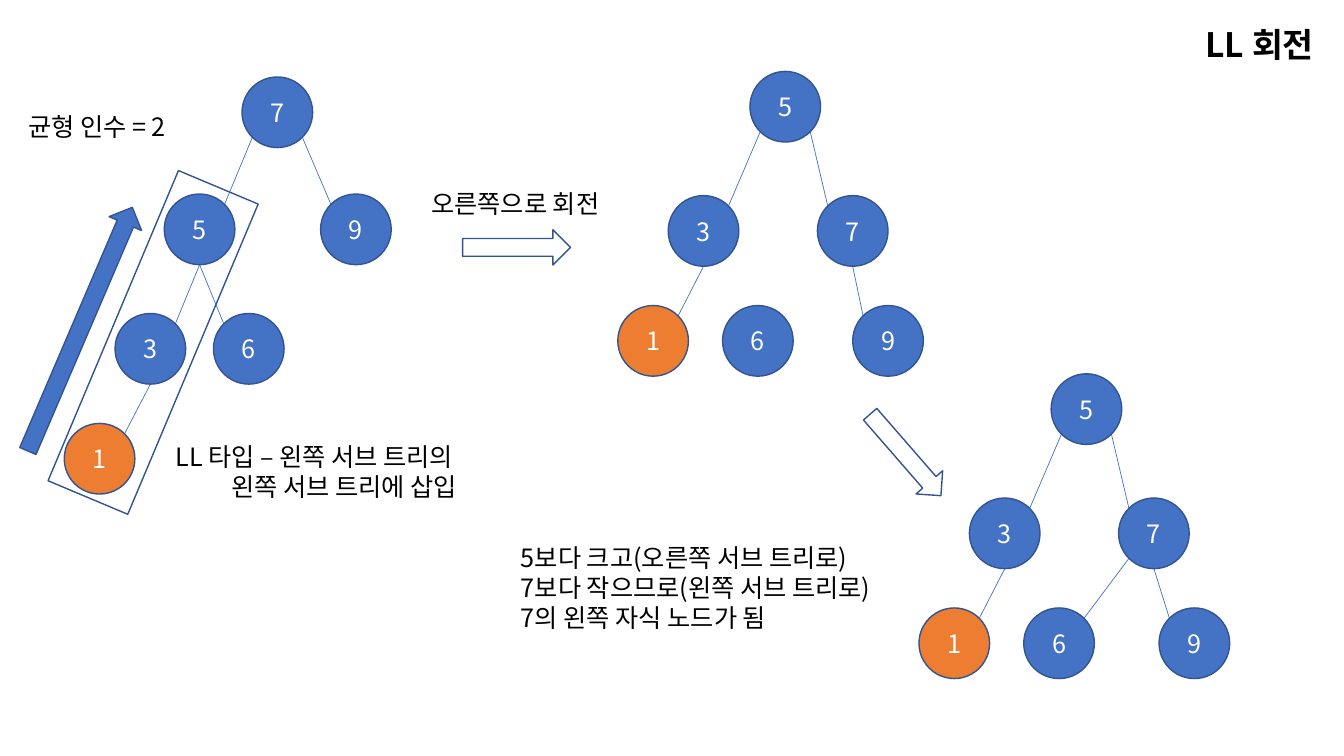
from dataclasses import dataclass
from math import sqrt

from lxml import etree
from pptx import Presentation
from pptx import util as u
from pptx.dml.color import RGBColor
from pptx.enum import shapes, text
from pptx.oxml.ns import qn


@dataclass(frozen=True)
class Theme:
    """Colours, type sizes and line widths of the deck."""

    font: str = "Noto Sans CJK KR"
    ink: str = "000000"
    light: str = "FFFFFF"
    node: str = "4472C4"
    inserted: str = "ED7D31"
    outline: str = "325491"
    title: int = 24
    body: int = 18
    border: float = 1
    edge: float = 0.5
    radius: float = 0.89


def write(frame, content, *, theme, size, color, bold=None, align=None):
    """Fill a text frame, one paragraph for each line of content."""
    for index, line in enumerate(content.split("\n")):
        para = frame.add_paragraph() if index else frame.paragraphs[0]
        para.alignment = align
        span = para.add_run()
        span.text = line
        font = span.font
        font.size, font.bold, font.name = u.Pt(size), bold, theme.font
        font.color.rgb = RGBColor.from_string(color)
        latin = font._element.find(qn("a:latin"))
        east_asian = etree.Element(qn("a:ea"), typeface=theme.font)
        latin.addnext(east_asian)


class TreeSlide:
    """Draws text, shapes and binary trees on one slide, in centimetres."""

    def __init__(self, page, theme):
        self.page = page
        self.theme = theme

    def label(self, content, place, *, size=None, wrap=False, **style):
        """Add a text box."""
        box = self.page.shapes.add_textbox(*map(u.Cm, place))
        frame = box.text_frame
        frame.word_wrap = wrap
        frame.auto_size = text.MSO_AUTO_SIZE.SHAPE_TO_FIT_TEXT
        write(frame, content, theme=self.theme, size=size or self.theme.body,
              color=self.theme.ink, **style)

    def shape(self, kind, place, *, fill=None, rotation=0):
        """Add an outlined preset shape."""
        shape = self.page.shapes.add_shape(kind, *map(u.Cm, place))
        shape.shadow.inherit = False
        shape.rotation = rotation
        if fill:
            shape.fill.solid()
            shape.fill.fore_color.rgb = RGBColor.from_string(fill)
        else:
            shape.fill.background()
        shape.line.color.rgb = RGBColor.from_string(self.theme.outline)
        shape.line.width = u.Pt(self.theme.border)
        return shape

    def node(self, key, center):
        """Add a numbered circle around its centre."""
        radius = self.theme.radius
        x, y = center
        fill = self.theme.inserted if key == 1 else self.theme.node
        circle = self.shape(shapes.MSO_SHAPE.OVAL,
                            (x - radius, y - radius, 2 * radius, 2 * radius), fill=fill)
        frame = circle.text_frame
        frame.vertical_anchor = text.MSO_ANCHOR.MIDDLE
        write(frame, str(key), theme=self.theme, size=self.theme.body,
              color=self.theme.light, align=text.PP_ALIGN.CENTER)

    def edge(self, parent, child, from_bottom):
        """Join two circles, leaving the parent at its bottom or its diagonal."""
        radius = self.theme.radius
        diagonal = radius / sqrt(2)
        side = diagonal if child[0] > parent[0] else -diagonal
        start = ((parent[0], parent[1] + radius) if from_bottom
                 else (parent[0] + side, parent[1] + diagonal))
        end = (child[0] - side, child[1] - diagonal)
        line = self.page.shapes.add_connector(
            shapes.MSO_CONNECTOR.STRAIGHT, *map(u.Cm, start + end))
        line.line.color.rgb = RGBColor.from_string(self.theme.node)
        line.line.width = u.Pt(self.theme.edge)
        etree.SubElement(line._element.spPr, qn("a:effectLst"))

    def tree(self, centers, diagonal_edges, bottom_edges):
        """Draw a tree from its node centres and parent-child pairs."""
        for pairs, from_bottom in ((diagonal_edges, False), (bottom_edges, True)):
            for parent, child in pairs:
                self.edge(centers[parent], centers[child], from_bottom)
        for key, center in centers.items():
            self.node(key, center)


def main():
    """Build the LL rotation slide."""
    deck = Presentation()
    deck.slide_width, deck.slide_height = u.Cm(33.87), u.Cm(19.05)
    theme = Theme()
    slide = TreeSlide(deck.slides.add_slide(deck.slide_layouts[6]), theme)

    slide.label("LL 회전", (23.83, 0.48, 9.53, 1.27), size=theme.title,
                wrap=True, bold=True, align=text.PP_ALIGN.RIGHT)
    slide.label("LL 타입 – 왼쪽 서브 트리의\n\t 왼쪽 서브 트리에 삽입",
                (4.17, 11, 10.21, 1.8))
    slide.label("균형 인수 = 2", (0.46, 2.69, 4.57, 1.02))
    slide.label("오른쪽으로 회전", (10.62, 4.62, 5.23, 1.02))
    slide.label("5보다 크고(오른쪽 서브 트리로)\n7보다 작으므로(왼쪽 서브 트리로)\n"
                "7의 왼쪽 자식 노드가 됨", (12.88, 13.54, 10.26, 2.57))

    unbalanced = {7: (6.99, 2.83), 5: (5.03, 5.78), 9: (8.97, 5.78),
                  3: (3.79, 8.79), 6: (6.27, 8.79), 1: (2.51, 11.56)}
    rotated = {5: (19.79, 2.69), 3: (17.73, 5.82), 7: (21.49, 5.82),
               1: (16.46, 8.59), 6: (19.1, 8.59), 9: (22.38, 8.59)}
    balanced = {key: (x + 7.59, y + 7.62) for key, (x, y) in rotated.items()}
    balanced[9] = (30.1, balanced[9][1])

    root_edges, leaf_edges = [(5, 3), (5, 7)], [(3, 1), (7, 9)]
    slide.tree(unbalanced, [(7, 5), (7, 9)], [(5, 3), (5, 6), (3, 1)])
    slide.tree(rotated, root_edges, leaf_edges)
    slide.tree(balanced, root_edges + [(7, 6)], leaf_edges)

    arrow = shapes.MSO_SHAPE.RIGHT_ARROW
    slide.shape(shapes.MSO_SHAPE.RECTANGLE, (2.77, 4.39, 2.18, 8.48), rotation=22.8)
    slide.shape(arrow, (-1.32, 7.85, 6.68, 0.89), fill=theme.node, rotation=293.2)
    slide.shape(arrow, (11.66, 5.79, 2.72, 0.89))
    slide.shape(arrow, (21.46, 11.02, 2.72, 0.89), rotation=49)

    deck.save("out.pptx")


if __name__ == "__main__":
    main()
